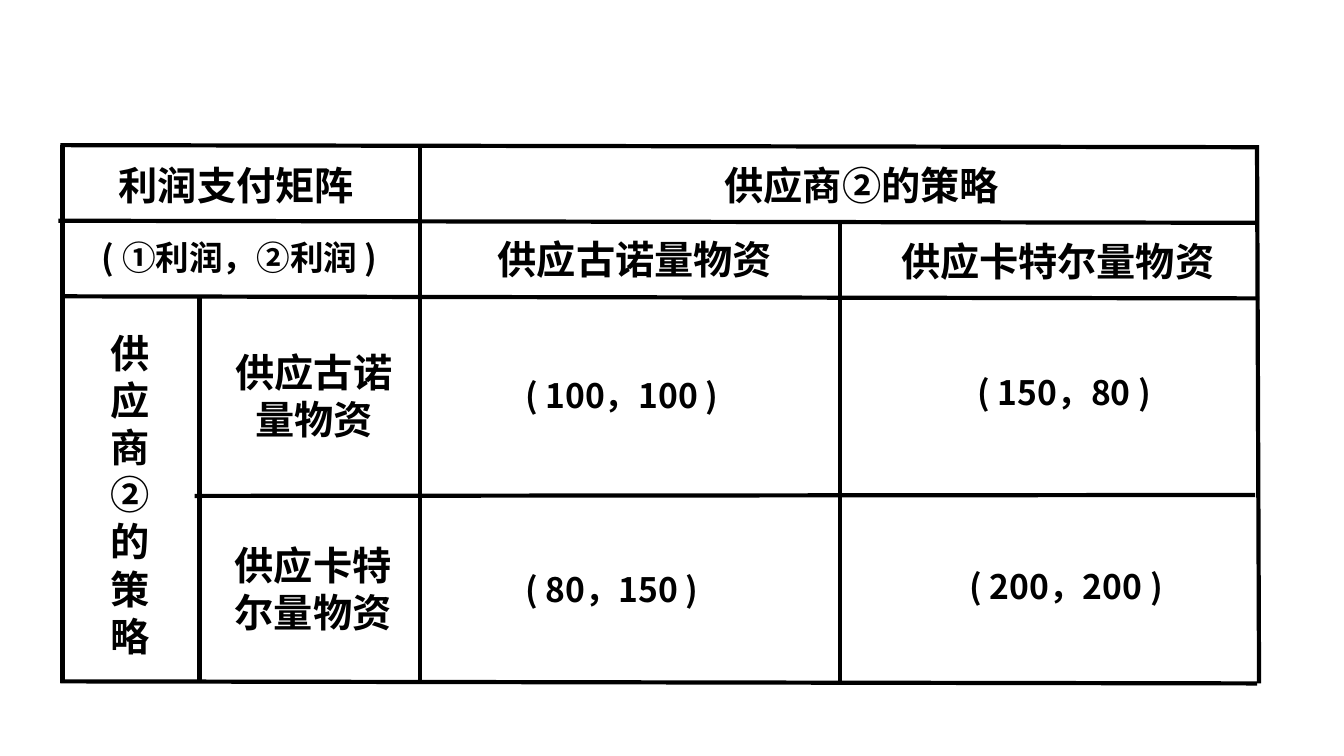
from dataclasses import dataclass
from lxml.etree import SubElement
from pptx import Presentation
from pptx.dml.color import RGBColor
from pptx.enum.shapes import MSO_CONNECTOR as Connector
from pptx.enum.text import MSO_AUTO_SIZE as AutoSize, PP_ALIGN as Align
from pptx.oxml.ns import qn
from pptx.slide import Slide
from pptx.util import Inches, Pt

WIDTH, HEIGHT = Inches(13.33), Inches(7.5)
FONT = "Noto Sans CJK SC"
INK = "000000"


@dataclass(frozen=True)
class Rule:
    """Ends of a grid line, in percent of the slide's width and height."""
    x1: float
    y1: float
    x2: float
    y2: float


@dataclass(frozen=True)
class Format:
    """Box size in percent of the slide, and text size in points."""
    width: float
    height: float
    points: int


@dataclass(frozen=True)
class Label:
    text: str
    left: float
    top: float
    format: Format
    align: Align = Align.LEFT


HEADING = Format(33.68, 7.6, 28)
SIDE_HEADING = Format(5.63, 45.33, 28)
ROW_HEADING = Format(14.63, 13.87, 28)
PAYOFF = Format(26.48, 6.67, 24)

# Strategies shared by both suppliers
COURNOT = "供应古诺量物资"
CARTEL = "供应卡特尔量物资"
STRATEGIES = "供应商②的策略"

# Edges of the matrix, slightly slanted as if drawn by hand
LEFT, RIGHT = 4.65, 93.53
TOP, BOTTOM = 19.2, 90.4
SLANT = 0.27
HEAD_ROW, BODY_ROW = 29.2, 39.2
SIDE_COLUMN, FIRST_COLUMN, SECOND_COLUMN = 14.85, 31.28, 62.48

RULES = [
    # Frame
    Rule(4.5, BOTTOM - SLANT, RIGHT, BOTTOM),
    Rule(LEFT, BOTTOM, LEFT, TOP),
    Rule(4.5, TOP, RIGHT, TOP + SLANT),
    Rule(93.68, BOTTOM, RIGHT, TOP),
    # Inner lines
    Rule(FIRST_COLUMN, BOTTOM, FIRST_COLUMN, TOP + SLANT),
    Rule(4.35, HEAD_ROW, 93.38, HEAD_ROW + SLANT),
    Rule(LEFT, BODY_ROW, 93.68, BODY_ROW + SLANT),
    Rule(SIDE_COLUMN, BOTTOM - SLANT, SIDE_COLUMN, BODY_ROW),
    Rule(SECOND_COLUMN, BOTTOM, SECOND_COLUMN, HEAD_ROW + SLANT),
    Rule(14.48, 65.6, 93.38, 65.47),
]

LABELS = [
    # Headings
    Label("利润支付矩阵", 8.1, 20.67, HEADING),
    Label(CARTEL, 66.3, 30.67, HEADING),
    Label(STRATEGIES, 7.5, 42.93, SIDE_HEADING),
    Label("( ①利润，②利润 )", 6.83, 30.67, PAYOFF),
    Label(STRATEGIES, 53.18, 20.67, HEADING),
    Label(COURNOT, 36.3, 30.53, HEADING),
    Label(CARTEL, 16.73, 70.93, ROW_HEADING),
    Label(COURNOT, 16.05, 45.47, ROW_HEADING, Align.CENTER),
    # Payoffs
    Label("( 100，100 )", 38.33, 48.93, PAYOFF),
    Label("( 80，150 )", 38.33, 74.53, PAYOFF),
    Label("( 150，80 )", 72, 48.53, PAYOFF),
    Label("( 200，200 )", 71.4, 74.13, PAYOFF),
]


def across(share: float) -> int:
    return round(WIDTH * share / 100)


def down(share: float) -> int:
    return round(HEIGHT * share / 100)


def color(code: str) -> RGBColor:
    return RGBColor.from_string(code)


def draw_rule(slide: Slide, rule: Rule) -> None:
    stroke = slide.shapes.add_connector(
        Connector.STRAIGHT, across(rule.x1), down(rule.y1),
        across(rule.x2), down(rule.y2))
    stroke.line.color.rgb = color(INK)
    stroke.line.width = Pt(3)
    SubElement(stroke.element.spPr, qn("a:effectLst"))


def draw_label(slide: Slide, label: Label) -> None:
    style = label.format
    box = slide.shapes.add_textbox(across(label.left), down(label.top),
                                   across(style.width), down(style.height))
    frame = box.text_frame
    frame.word_wrap = True
    frame.auto_size = AutoSize.SHAPE_TO_FIT_TEXT
    paragraph = frame.paragraphs[0]
    paragraph.alignment = label.align
    run = paragraph.add_run()
    run.text = label.text
    run.font.name = FONT
    run.font.size = Pt(style.points)
    run.font.bold = True
    run.font.color.rgb = color(INK)
    # Chinese characters take the East Asian typeface
    SubElement(run.font._element, qn("a:ea"), typeface=FONT)


def main() -> None:
    deck = Presentation()
    deck.slide_width, deck.slide_height = WIDTH, HEIGHT
    slide = deck.slides.add_slide(deck.slide_layouts[6])
    for rule in RULES:
        draw_rule(slide, rule)
    for label in LABELS:
        draw_label(slide, label)
    deck.save("out.pptx")


if __name__ == "__main__":
    main()
